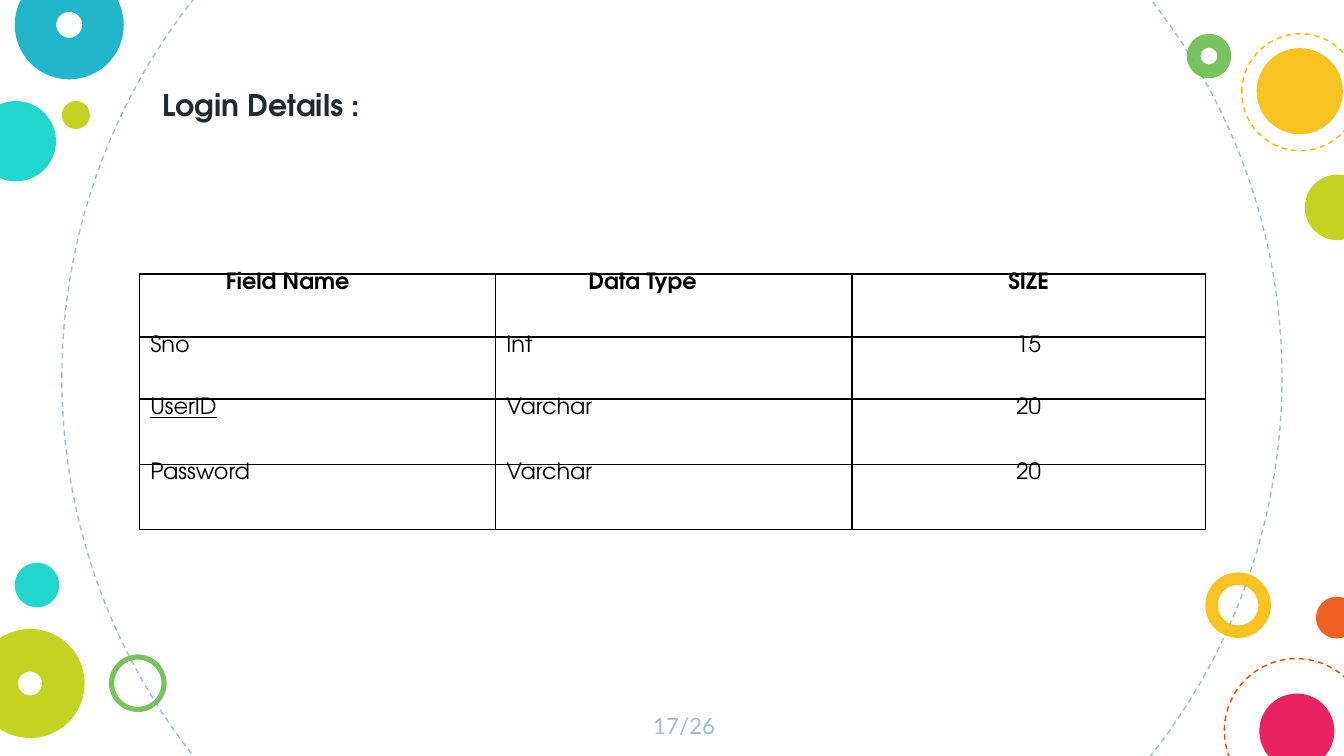
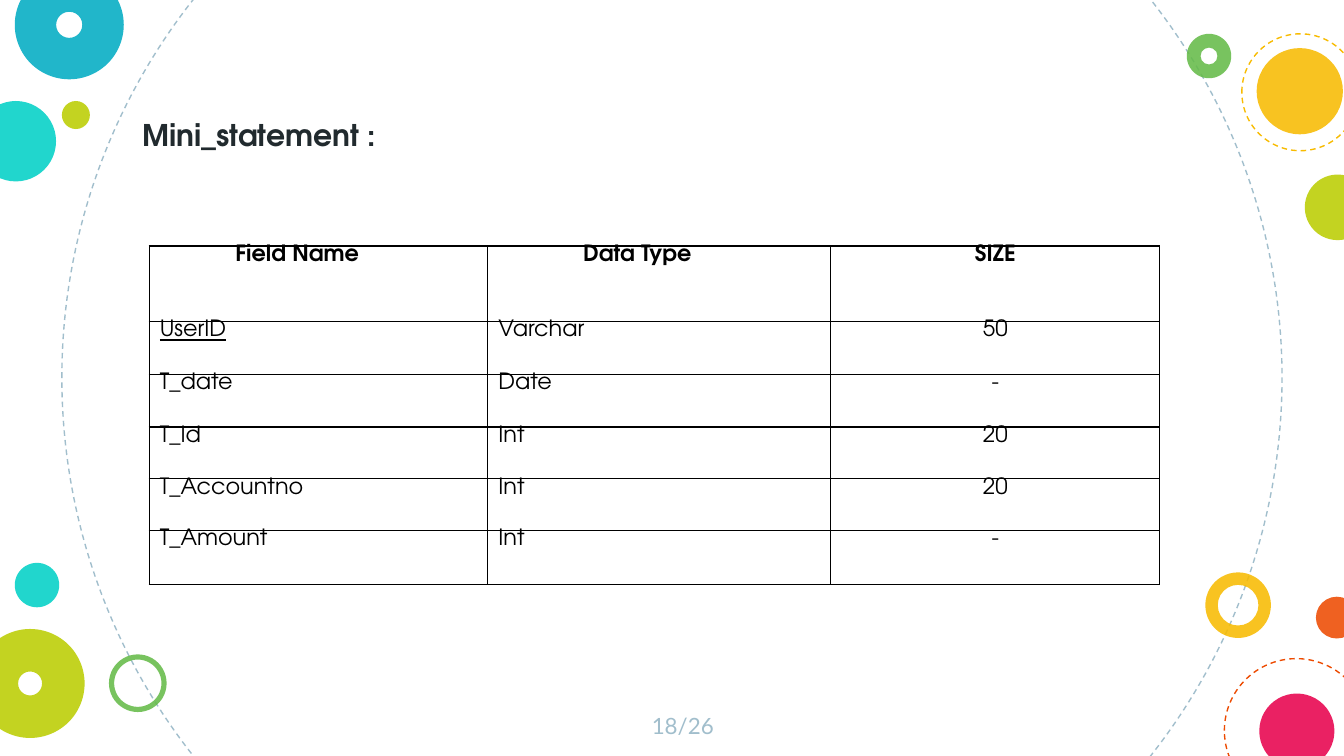
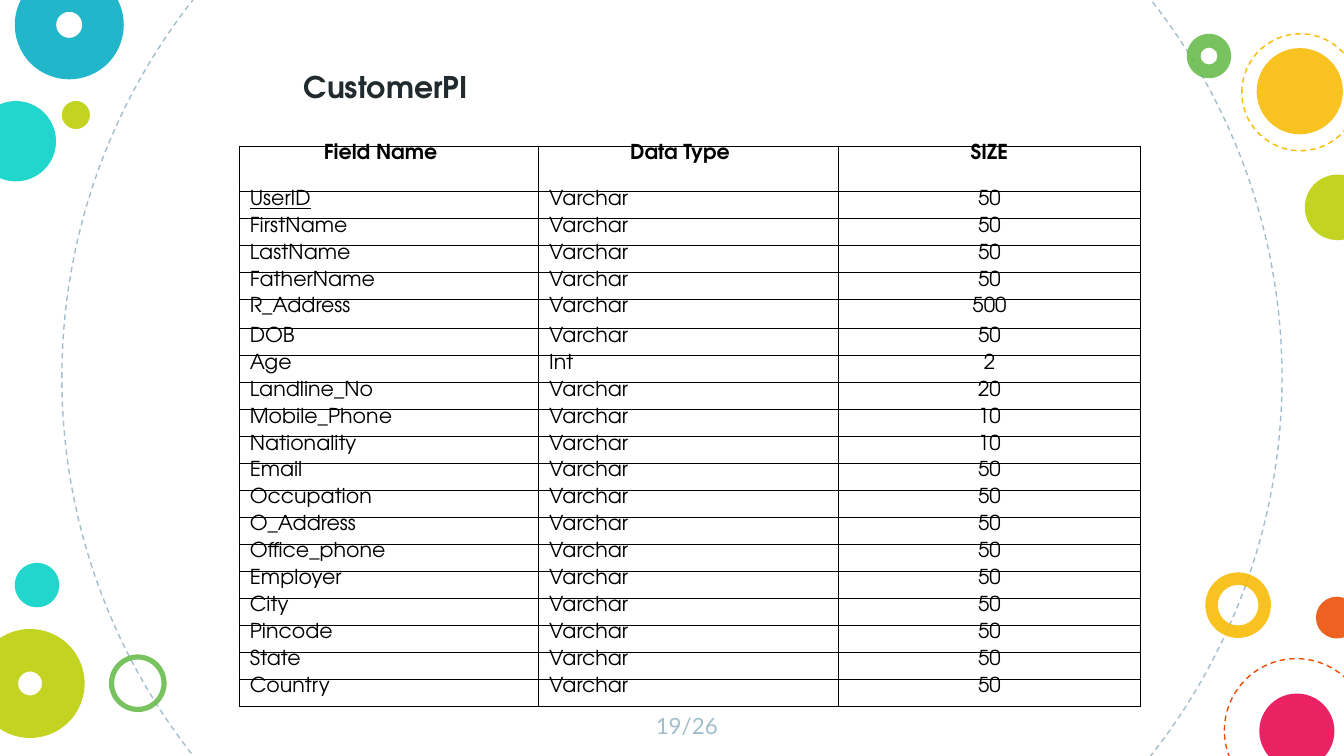
from lxml.etree import SubElement
from pptx import Presentation
from pptx.dml.color import RGBColor
from pptx.enum.dml import MSO_LINE
from pptx.enum.shapes import MSO_SHAPE
from pptx.enum.text import MSO_ANCHOR, MSO_AUTO_SIZE, PP_ALIGN
from pptx.oxml.ns import qn
from pptx.util import Cm, Pt

BLACK = RGBColor(0x00, 0x00, 0x00)
INK = RGBColor(0x21, 0x2A, 0x2E)
MIST = RGBColor(0xA1, 0xBE, 0xCC)
TURQUOISE = RGBColor(0x00, 0xD1, 0xC6)
BLUE = RGBColor(0x00, 0xAC, 0xC3)
LIME = RGBColor(0xBB, 0xCD, 0x00)
GREEN = RGBColor(0x65, 0xBB, 0x48)
YELLOW = RGBColor(0xF8, 0xBB, 0x00)
ORANGE = RGBColor(0xED, 0x4A, 0x00)
PINK = RGBColor(0xE8, 0x00, 0x4C)

HEADING_FONT = "TeX Gyre Adventor"
NUMBER_FONT = "Lato"
TITLE_HEIGHT = 1.7
CELL_INDENT = 0.2
PRIMARY_KEY = "UserID"
TABLE_HEADER = ("Field Name", "Data Type", "SIZE")
SLIDE_TOTAL = 26

# left, top, diameter in cm, colour
DASHED_RINGS = [
    (1.17, -4.39, 23.06, MIST),
    (23.14, 12.45, 2.72, ORANGE),
    (23.47, 0.64, 2.21, YELLOW),
]
DISCS = [
    (-0.46, 1.91, 1.52, TURQUOISE),
    (1.17, 1.91, 0.53, LIME),
    (24.87, 11.28, 0.79, ORANGE),
    (23.8, 13.11, 1.42, PINK),
    (23.75, 0.91, 1.63, YELLOW),
    (24.66, 3.3, 1.24, LIME),
    (0.28, 10.64, 0.84, TURQUOISE),
]
# as above, then the thickness of the ring
DONUTS = [
    (22.78, 10.82, 1.24, YELLOW, 0.19),
    (0.28, -0.56, 2.06, BLUE, 0.38),
    (2.06, 12.37, 1.09, GREEN, 0.09),
    (-0.46, 11.89, 2.06, LIME, 0.39),
    (22.43, 0.64, 0.84, GREEN, 0.31),
]

LOGIN_FIELDS = [
    ("Sno", "Int", "15"),
    ("UserID", "Varchar", "20"),
    ("Password", "Varchar", "20"),
]
STATEMENT_FIELDS = [
    ("UserID", "Varchar", "50"),
    ("T_date", "Date", "-"),
    ("T_Id", "Int", "20"),
    ("T_Accountno", "Int", "20"),
    ("T_Amount", "Int", "-"),
]
CUSTOMER_FIELDS = [
    ("UserID", "Varchar", "50"),
    ("FirstName", "Varchar", "50"),
    ("LastName", "Varchar", "50"),
    ("FatherName", "Varchar", "50"),
    ("R_Address", "Varchar", "500"),
    ("DOB", "Varchar", "50"),
    ("Age", "Int", "2"),
    ("Landline_No", "Varchar", "20"),
    ("Mobile_Phone", "Varchar", "10"),
    ("Nationality", "Varchar", "10"),
    ("Email", "Varchar", "50"),
    ("Occupation", "Varchar", "50"),
    ("O_Address", "Varchar", "50"),
    ("Office_phone", "Varchar", "50"),
    ("Employer", "Varchar", "50"),
    ("City", "Varchar", "50"),
    ("Pincode", "Varchar", "50"),
    ("State", "Varchar", "50"),
    ("Country", "Varchar", "50"),
]


def set_font(paragraph, name, size, color, bold=False):
    font = paragraph.font
    font.name = name
    font.size = Pt(size)
    font.color.rgb = color
    font.bold = bold


def add_round(slide, kind, left, top, diameter):
    shape = slide.shapes.add_shape(
        kind, Cm(left), Cm(top), Cm(diameter), Cm(diameter))
    shape.shadow.inherit = False
    return shape


def fill_translucent(shape, color):
    shape.fill.solid()
    shape.fill.fore_color.rgb = color
    shape.line.fill.background()
    color_element = shape._element.spPr.find(qn("a:solidFill"))[0]
    SubElement(color_element, qn("a:alpha"), val="87000")


def decorate_layout(layout, slide):
    """Draw the circles on the slide, then move them behind its layout."""
    circles = []
    for left, top, diameter, color in DASHED_RINGS:
        ring = add_round(slide, MSO_SHAPE.OVAL, left, top, diameter)
        ring.fill.background()
        ring.line.color.rgb = color
        ring.line.width = Pt(0.75)
        ring.line.dash_style = MSO_LINE.DASH
        circles.append(ring)
    for left, top, diameter, color in DISCS:
        disc = add_round(slide, MSO_SHAPE.OVAL, left, top, diameter)
        fill_translucent(disc, color)
        circles.append(disc)
    for left, top, diameter, color, thickness in DONUTS:
        donut = add_round(slide, MSO_SHAPE.DONUT, left, top, diameter)
        donut.adjustments[0] = thickness
        fill_translucent(donut, color)
        circles.append(donut)

    layout_tree = layout.shapes._spTree
    for placeholder in list(layout.placeholders)[1:]:
        layout_tree.remove(placeholder._element)
    for position, circle in enumerate(circles, start=2):
        layout_tree.insert(position, circle._element)


def set_title(slide, text, left, top, width):
    title = slide.shapes.title
    title.left, title.top = Cm(left), Cm(top)
    title.width, title.height = Cm(width), Cm(TITLE_HEIGHT)
    frame = title.text_frame
    frame.text = text
    frame.word_wrap = False
    frame.auto_size = MSO_AUTO_SIZE.NONE
    frame.vertical_anchor = MSO_ANCHOR.TOP
    paragraph = frame.paragraphs[0]
    paragraph.alignment = PP_ALIGN.LEFT
    set_font(paragraph, HEADING_FONT, 16, INK, bold=True)


def add_slide_number(slide, number, width):
    box = slide.shapes.add_textbox(Cm(12.04), Cm(13.21), Cm(width), Cm(1.09))
    frame = box.text_frame
    frame.word_wrap = True
    frame.margin_left = frame.margin_right = Cm(0.25)
    frame.margin_top = frame.margin_bottom = Cm(0.25)
    frame.text = f"{number}/{SLIDE_TOTAL}"
    paragraph = frame.paragraphs[0]
    paragraph.alignment = PP_ALIGN.CENTER
    set_font(paragraph, NUMBER_FONT, 12, MIST)


def set_borders(cell):
    properties = cell._tc.get_or_add_tcPr()
    for side in ("lnL", "lnR", "lnT", "lnB"):
        line = SubElement(properties, qn(f"a:{side}"), w=str(Pt(0.75)))
        fill = SubElement(line, qn("a:solidFill"))
        SubElement(fill, qn("a:srgbClr"), val=str(BLACK))


def format_cell(cell, text, size, line_spacing, indent, bold):
    """Fill in a cell; without an indent its text is centred."""
    set_borders(cell)
    cell.fill.background()
    cell.margin_left = cell.margin_right = 0
    cell.margin_top = cell.margin_bottom = 0
    cell.text = text
    paragraph = cell.text_frame.paragraphs[0]
    paragraph.line_spacing = line_spacing
    if indent is None:
        paragraph.alignment = PP_ALIGN.CENTER
    else:
        paragraph._p.get_or_add_pPr().set("marL", str(Cm(indent)))
    set_font(paragraph, HEADING_FONT, size, BLACK, bold)
    if text == PRIMARY_KEY:
        paragraph.font.underline = True


def add_field_table(slide, fields, left, top, widths, heights,
                    header_indents, size=12, line_spacing=0.92):
    records = [TABLE_HEADER, *fields]
    table = slide.shapes.add_table(
        len(records), len(widths), Cm(left), Cm(top),
        Cm(sum(widths)), Cm(sum(heights))).table
    table.first_row = table.horz_banding = False
    for column, width in zip(table.columns, widths):
        column.width = Cm(width)
    for row, height in zip(table.rows, heights):
        row.height = Cm(height)
    for row_index, record in enumerate(records):
        is_header = row_index == 0
        indents = header_indents if is_header else (CELL_INDENT, CELL_INDENT)
        for column_index, (text, indent) in enumerate(
                zip(record, (*indents, None))):
            format_cell(table.cell(row_index, column_index),
                        text, size, line_spacing, indent, is_header)


def main():
    presentation = Presentation()
    presentation.slide_width = Cm(25.4)
    presentation.slide_height = Cm(14.29)
    layout = presentation.slide_layouts[5]
    login, statement, customer = (
        presentation.slides.add_slide(layout) for _ in range(3))
    decorate_layout(layout, login)

    add_slide_number(login, 17, 1.78)
    add_field_table(login, LOGIN_FIELDS, 2.64, 5.18, (6.73, 6.73, 6.68),
                    (1.19, 1.17, 1.24, 1.23), (1.63, 1.75))
    set_title(login, "Login Details :", 2.82, 1.52, 4.45)

    add_slide_number(statement, 18, 1.73)
    add_field_table(statement, STATEMENT_FIELDS, 2.82, 4.65,
                    (6.4, 6.48, 6.22), (1.42, 1.01, 0.99, 0.98, 0.98, 1.02),
                    (1.63, 1.8))
    set_title(statement, "Mini_statement :", 2.44, 2.08, 5.13)

    add_slide_number(customer, 19, 1.88)
    customer_heights = [0.85] + [
        0.55 if name == "R_Address" else 0.51
        for name, _, _ in CUSTOMER_FIELDS]
    add_field_table(customer, CUSTOMER_FIELDS, 4.52, 2.77,
                    (5.66, 5.66, 5.72), customer_heights, (1.6, 1.73),
                    size=11, line_spacing=0.88)
    set_title(customer, "CustomerPI", 5.49, 1.17, 3.71)

    presentation.save("out.pptx")


if __name__ == "__main__":
    main()
